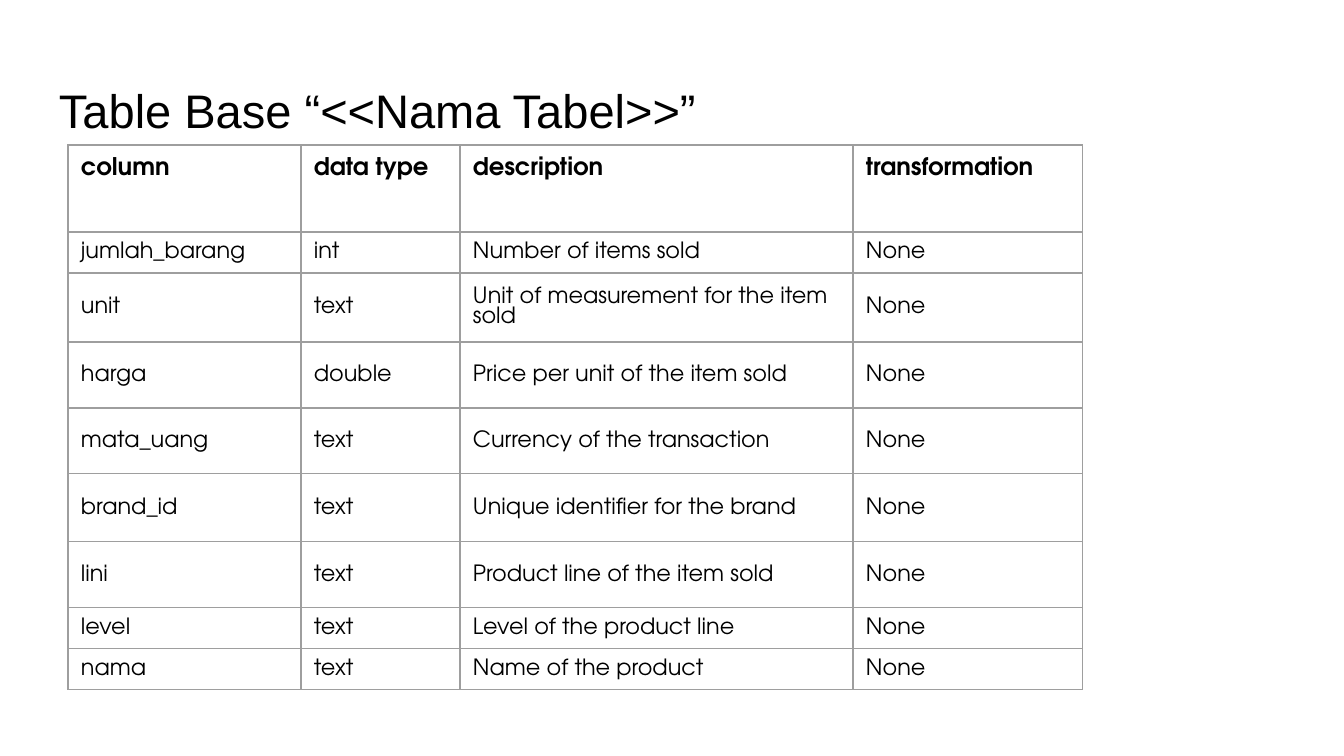
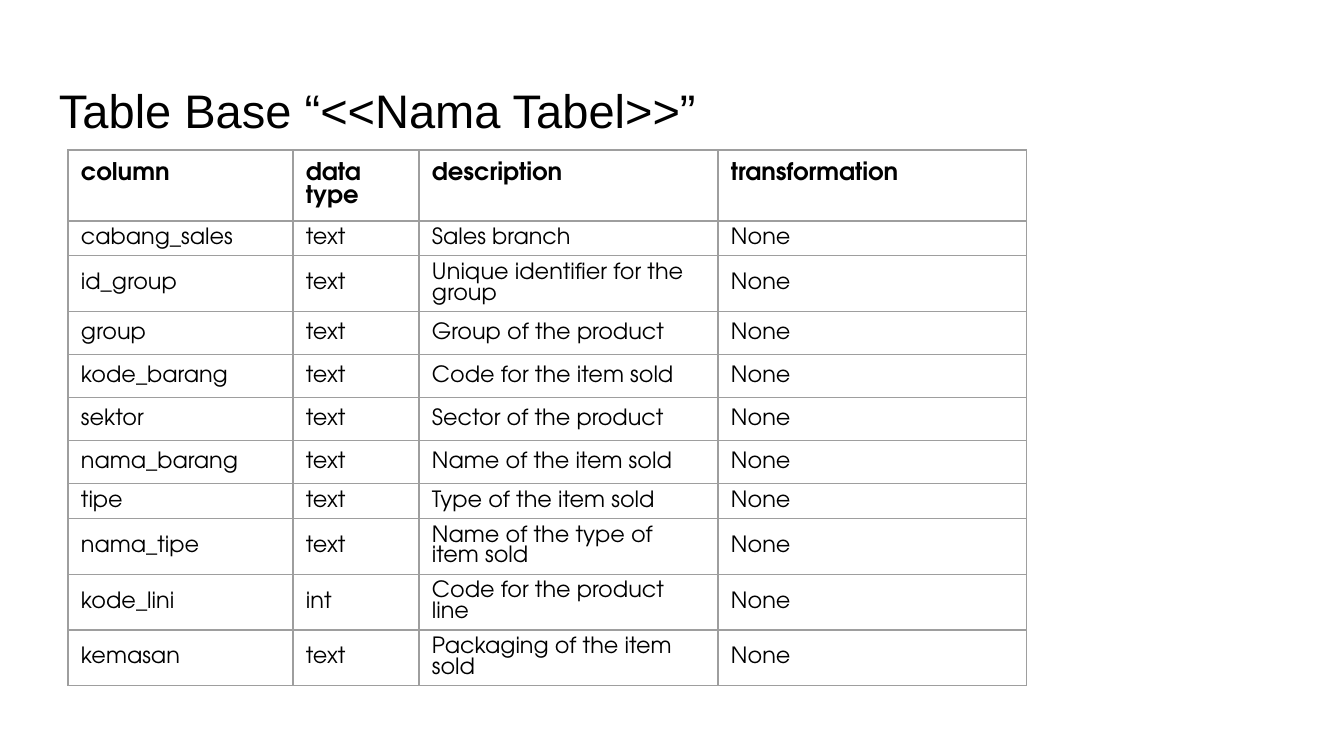
"""Build two slides that describe the columns of a base table."""
from lxml import etree
from pptx import Presentation
from pptx.dml.color import RGBColor
from pptx.enum.text import MSO_ANCHOR, MSO_AUTO_SIZE, PP_ALIGN
from pptx.oxml.ns import qn
from pptx.util import Pt

TOP, MIDDLE, BOTTOM = MSO_ANCHOR.TOP, MSO_ANCHOR.MIDDLE, MSO_ANCHOR.BOTTOM
LEFT = PP_ALIGN.LEFT
NO_AUTOFIT = MSO_AUTO_SIZE.NONE

BLACK = RGBColor(0x00, 0x00, 0x00)
WHITE = RGBColor(0xFF, 0xFF, 0xFF)
BORDER_GREY = RGBColor(0x9E, 0x9E, 0x9E)

SLIDE_WIDTH, SLIDE_HEIGHT = 1344, 756
EMU_PER_PIXEL = 9144000 / SLIDE_WIDTH
TITLE_ONLY = 5
TITLE_BOX = (46, 66, 1252, 85)
TABLE_LEFT = 68
INSET = 13
THIN_INSET = 7
BORDER_WIDTH = Pt(0.75)
BORDER_SIDES = ("a:lnL", "a:lnR", "a:lnT", "a:lnB")

TITLE_FONT = {"name": "Arial", "size": Pt(25.2), "bold": False}
HEADER_FONT = {"name": "TeX Gyre Adventor", "size": Pt(13), "bold": True}
BODY_FONT = {"name": "TeX Gyre Adventor", "size": Pt(12), "bold": False}

TITLE = "Table Base “<<Nama Tabel>>”"
HEADERS = ("column", "data type", "description", "transformation")
TRANSFORMATION = "None"

TABLES = (
    {
        "top": 145,
        "widths": (233, 159, 393, 230),
        "header_height": 87,
        "rows": (
            (41, "jumlah_barang", "int", "Number of items sold"),
            (69, "unit", "text", "Unit of measurement for the item sold"),
            (66, "harga", "double", "Price per unit of the item sold"),
            (66, "mata_uang", "text", "Currency of the transaction"),
            (68, "brand_id", "text", "Unique identifier for the brand"),
            (66, "lini", "text", "Product line of the item sold"),
            (41, "level", "text", "Level of the product line"),
            (41, "nama", "text", "Name of the product"),
        ),
    },
    {
        "top": 150,
        "widths": (225, 126, 299, 309),
        "header_height": 71,
        "rows": (
            (34, "cabang_sales", "text", "Sales branch"),
            (56, "id_group", "text", "Unique identifier for the group"),
            (43, "group", "text", "Group of the product"),
            (43, "kode_barang", "text", "Code for the item sold"),
            (43, "sektor", "text", "Sector of the product"),
            (43, "nama_barang", "text", "Name of the item sold"),
            (34, "tipe", "text", "Type of the item sold"),
            (55, "nama_tipe", "text", "Name of the type of item sold"),
            (55, "kode_lini", "int", "Code for the product line"),
            (55, "kemasan", "text", "Packaging of the item sold"),
        ),
    },
)


def emu(pixels):
    """Turn pixels into EMU."""
    return round(pixels * EMU_PER_PIXEL)


def apply(target, values):
    """Set every attribute named in the values."""
    for name, value in values.items():
        setattr(target, name, value)


def margins(side, vertical):
    """Return margin attributes for a text frame or a cell."""
    return {
        "margin_left": emu(side),
        "margin_right": emu(side),
        "margin_top": emu(vertical),
        "margin_bottom": emu(vertical),
    }


class Deck:
    """Hold the presentation, its style and the current slide."""

    def __init__(self):
        """Start an empty widescreen presentation."""
        self.presentation = Presentation()
        self.presentation.slide_width = emu(SLIDE_WIDTH)
        self.presentation.slide_height = emu(SLIDE_HEIGHT)
        self.slide = None

    def add_slide(self):
        """Add a white slide and make it current."""
        layout = self.presentation.slide_layouts[TITLE_ONLY]
        self.slide = self.presentation.slides.add_slide(layout)
        fill = self.slide.background.fill
        fill.solid()
        fill.fore_color.rgb = WHITE

    def add_text(self, text_frame, text, font):
        """Fill the frame with one left-aligned paragraph."""
        paragraph = text_frame.paragraphs[0]
        paragraph.alignment = LEFT
        run = paragraph.add_run()
        run.text = text
        apply(run.font, font)
        run.font.color.rgb = BLACK

    def title(self, text):
        """Place and fill the title placeholder."""
        shape = self.slide.shapes.title
        box = map(emu, TITLE_BOX)
        apply(shape, dict(zip(("left", "top", "width", "height"), box)))
        frame_format = {
            "word_wrap": True,
            "auto_size": NO_AUTOFIT,
            "vertical_anchor": BOTTOM,
            **margins(INSET, INSET),
        }
        apply(shape.text_frame, frame_format)
        self.add_text(shape.text_frame, text, TITLE_FONT)

    def border(self, cell):
        """Draw a thin grey line on all sides of a cell."""
        properties = cell._tc.get_or_add_tcPr()
        for position, side in enumerate(BORDER_SIDES):
            line = etree.Element(qn(side), w=str(BORDER_WIDTH))
            fill = etree.SubElement(line, qn("a:solidFill"))
            etree.SubElement(fill, qn("a:srgbClr"), val=str(BORDER_GREY))
            properties.insert(position, line)

    def cell(self, cell, text, font, anchor, vertical_inset):
        """Format and fill one table cell."""
        apply(cell, {"vertical_anchor": anchor, **margins(INSET, vertical_inset)})
        cell.fill.background()
        self.border(cell)
        self.add_text(cell.text_frame, text, font)

    def table(self, top, widths, header_height, rows):
        """Add a table of columns with a bold header row."""
        heights = [header_height] + [row[0] for row in rows]
        lines = [HEADERS] + [(*row[1:], TRANSFORMATION) for row in rows]
        frame = self.slide.shapes.add_table(
            len(lines), len(widths), emu(TABLE_LEFT), emu(top),
            emu(sum(widths)), emu(sum(heights)))
        table = frame.table
        apply(table, {"first_row": False, "horz_banding": False})
        for column, width in zip(table.columns, widths):
            column.width = emu(width)
        for index, (height, texts) in enumerate(zip(heights, lines)):
            table.rows[index].height = emu(height)
            style = (BODY_FONT, MIDDLE, THIN_INSET) if index else (HEADER_FONT, TOP, INSET)
            for cell, text in zip(table.rows[index].cells, texts):
                self.cell(cell, text, *style)


def main():
    """Build and save the slides."""
    deck = Deck()
    for table in TABLES:
        deck.add_slide()
        deck.title(TITLE)
        deck.table(**table)
    deck.presentation.save("out.pptx")


main()
